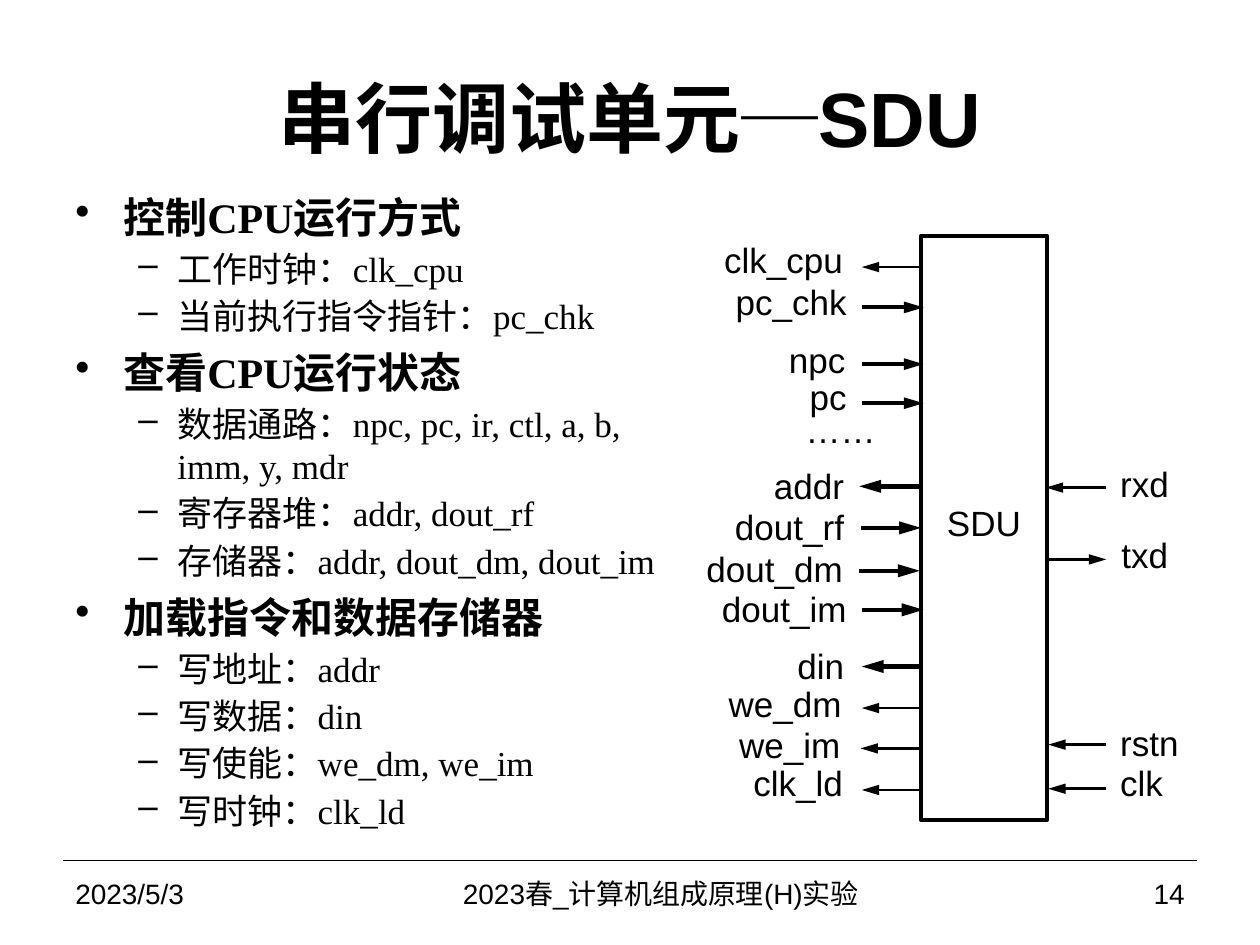
from dataclasses import dataclass

from lxml.etree import SubElement
from pptx import Presentation
from pptx.dml.color import RGBColor
from pptx.enum.shapes import MSO_CONNECTOR, MSO_SHAPE
from pptx.enum.text import MSO_ANCHOR, PP_ALIGN
from pptx.oxml.ns import qn
from pptx.util import Inches, Pt


@dataclass(frozen=True)
class Theme:
    ink: RGBColor = RGBColor(0, 0, 0)
    sans: str = "Arial"
    serif: str = "Times New Roman"
    cjk: str = "Noto Sans CJK SC"
    title: int = 44
    heading: int = 24
    text: int = 20
    footer: int = 16


class SlideBuilder:
    def __init__(self, slide, theme):
        self.slide = slide
        self.theme = theme

    def style(self, font, size, name, bold=False):
        font.size = Pt(size)
        font.name = name
        font.bold = bold
        font.color.rgb = self.theme.ink

    def frame(self, left, top, width, height, anchor=MSO_ANCHOR.MIDDLE):
        box = self.slide.shapes.add_textbox(
            Inches(left), Inches(top), Inches(width), Inches(height))
        box.text_frame.word_wrap = True
        box.text_frame.vertical_anchor = anchor
        return box.text_frame

    def tighten(self, frame):
        frame.word_wrap = False
        frame.margin_left = frame.margin_right = 0
        frame.margin_top = frame.margin_bottom = 0

    def title(self, parts, left, top, width, height):
        paragraph = self.frame(left, top, width, height).paragraphs[0]
        paragraph.alignment = PP_ALIGN.CENTER
        self.style(paragraph.font, self.theme.title, self.theme.sans, True)
        for text, name in parts:
            run = paragraph.add_run()
            run.text = text
            run.font.name = name

    def footer(self, text, left, width, alignment):
        paragraph = self.frame(left, 6.83, width, 0.52).paragraphs[0]
        paragraph.text = text
        paragraph.alignment = alignment
        self.style(paragraph.font, self.theme.footer, self.theme.sans)

    def bullet(self, paragraph, text, level):
        margin, indent, space, mark, size = (
            (0.38, -0.38, 6, "•", self.theme.heading),
            (0.81, -0.31, 3, "–", self.theme.text),
        )[level]
        paragraph.text = text
        paragraph.level = level
        paragraph.space_before = Pt(space)
        properties = paragraph._p.get_or_add_pPr()
        properties.set("marL", str(Inches(margin)))
        properties.set("indent", str(Inches(indent)))
        SubElement(properties, qn("a:buChar")).set("char", mark)
        self.style(paragraph.font, size, self.theme.serif, level == 0)

    def outline(self, sections, left, top, width, height):
        frame = self.frame(left, top, width, height, MSO_ANCHOR.TOP)
        lines = [(text, level) for heading, items in sections
                 for text, level in [(heading, 0)] + [(item, 1) for item in items]]
        for index, (text, level) in enumerate(lines):
            paragraph = frame.add_paragraph() if index else frame.paragraphs[0]
            self.bullet(paragraph, text, level)

    def label(self, text, left, top, width, alignment):
        frame = self.frame(left, top, width, 0.34)
        self.tighten(frame)
        paragraph = frame.paragraphs[0]
        paragraph.text = text
        paragraph.alignment = alignment
        self.style(paragraph.font, self.theme.text, self.theme.sans)

    def line(self, start, end, y, weight, arrow=False):
        connector = self.slide.shapes.add_connector(
            MSO_CONNECTOR.STRAIGHT, Inches(start), Inches(y), Inches(end), Inches(y))
        connector.line.color.rgb = self.theme.ink
        connector.line.width = Pt(weight)
        if arrow:
            tail = SubElement(connector.line._get_or_add_ln(), qn("a:tailEnd"))
            tail.set("type", "triangle")
            tail.set("w", "med")
            tail.set("len", "lg")
        SubElement(connector._element.spPr, qn("a:effectLst"))

    def block(self, text, left, top, width, height):
        shape = self.slide.shapes.add_shape(
            MSO_SHAPE.RECTANGLE, Inches(left), Inches(top), Inches(width), Inches(height))
        shape.shadow.inherit = False
        shape.fill.background()
        shape.line.color.rgb = self.theme.ink
        shape.line.width = Pt(2.25)
        frame = shape.text_frame
        self.tighten(frame)
        frame.vertical_anchor = MSO_ANCHOR.MIDDLE
        paragraph = frame.paragraphs[0]
        paragraph.text = text
        paragraph.alignment = PP_ALIGN.CENTER
        paragraph.line_spacing = Pt(18)
        self.style(paragraph.font, self.theme.text, self.theme.sans)


SECTIONS = [
    ("控制CPU运行方式", ["工作时钟：clk_cpu", "当前执行指令指针：pc_chk"]),
    ("查看CPU运行状态", ["数据通路：npc, pc, ir, ctl, a, b, imm, y, mdr",
                    "寄存器堆：addr, dout_rf",
                    "存储器：addr, dout_dm, dout_im"]),
    ("加载指令和数据存储器", ["写地址：addr", "写数据：din",
                    "写使能：we_dm, we_im", "写时钟：clk_ld"]),
]

# name, label left, label top, label width, arrow start, arrow end, arrow y, weight
LEFT_PINS = [
    ("clk_cpu", 5.74, 1.89, 0.95, 7.32, 6.84, 2.12, 1.5),
    ("pc_chk", 5.83, 2.22, 0.89, 6.84, 7.33, 2.44, 2.25),
    ("npc", 6.26, 2.68, 0.45, 6.84, 7.33, 2.89, 2.25),
    ("pc", 6.42, 2.98, 0.3, 6.84, 7.33, 3.2, 2.25),
    ("addr", 6.14, 3.68, 0.56, 7.3, 6.82, 3.86, 2.5),
    ("dout_rf", 5.83, 4.01, 0.87, 6.83, 7.31, 4.19, 2.5),
    ("dout_dm", 5.6, 4.34, 1.09, 6.82, 7.3, 4.53, 2.5),
    ("dout_im", 5.72, 4.66, 1, 6.84, 7.33, 4.84, 2.5),
    ("din", 6.32, 5.11, 0.38, 7.32, 6.84, 5.29, 2.5),
    ("we_dm", 5.78, 5.41, 0.9, 7.31, 6.84, 5.62, 1.5),
    ("we_im", 5.86, 5.74, 0.81, 7.31, 6.83, 5.94, 1.5),
    ("clk_ld", 5.97, 6.04, 0.72, 7.32, 6.84, 6.27, 1.5),
]
RIGHT_PINS = [
    ("rxd", 8.89, 3.67, 0.4, 8.78, 8.3, 3.87, 1.5),
    ("txd", 8.9, 4.23, 0.4, 8.32, 8.78, 4.44, 1.5),
    ("rstn", 8.89, 5.72, 0.47, 8.78, 8.32, 5.91, 1.5),
    ("clk", 8.89, 6.04, 0.34, 8.78, 8.32, 6.26, 1.5),
]


def main():
    presentation = Presentation()
    presentation.slide_width = Inches(10)
    presentation.slide_height = Inches(7.5)
    slide = presentation.slides.add_slide(presentation.slide_layouts[6])
    theme = Theme()
    builder = SlideBuilder(slide, theme)

    builder.line(0.5, 9.5, 6.83, 0.75)
    builder.title([("串行调试单元", theme.sans), ("─", theme.cjk), ("SDU", theme.sans)],
                  0.5, 0.3, 9, 1.25)
    builder.outline(SECTIONS, 0.5, 1.47, 4.88, 5.36)
    builder.footer("2023/5/3", 0.5, 2.33, PP_ALIGN.LEFT)
    builder.footer("2023春_计算机组成原理(H)实验", 2.83, 4.83, PP_ALIGN.CENTER)
    builder.footer("14", 7.67, 1.83, PP_ALIGN.RIGHT)

    builder.block("SDU", 7.31, 1.87, 1, 4.64)
    for pins, alignment in ((LEFT_PINS, PP_ALIGN.RIGHT), (RIGHT_PINS, PP_ALIGN.LEFT)):
        for name, left, top, width, start, end, y, weight in pins:
            builder.line(start, end, y, weight, arrow=True)
            builder.label(name, left, top, width, alignment)
    builder.label("……", 6.39, 3.24, 0.56, PP_ALIGN.RIGHT)

    presentation.save("out.pptx")


if __name__ == "__main__":
    main()
